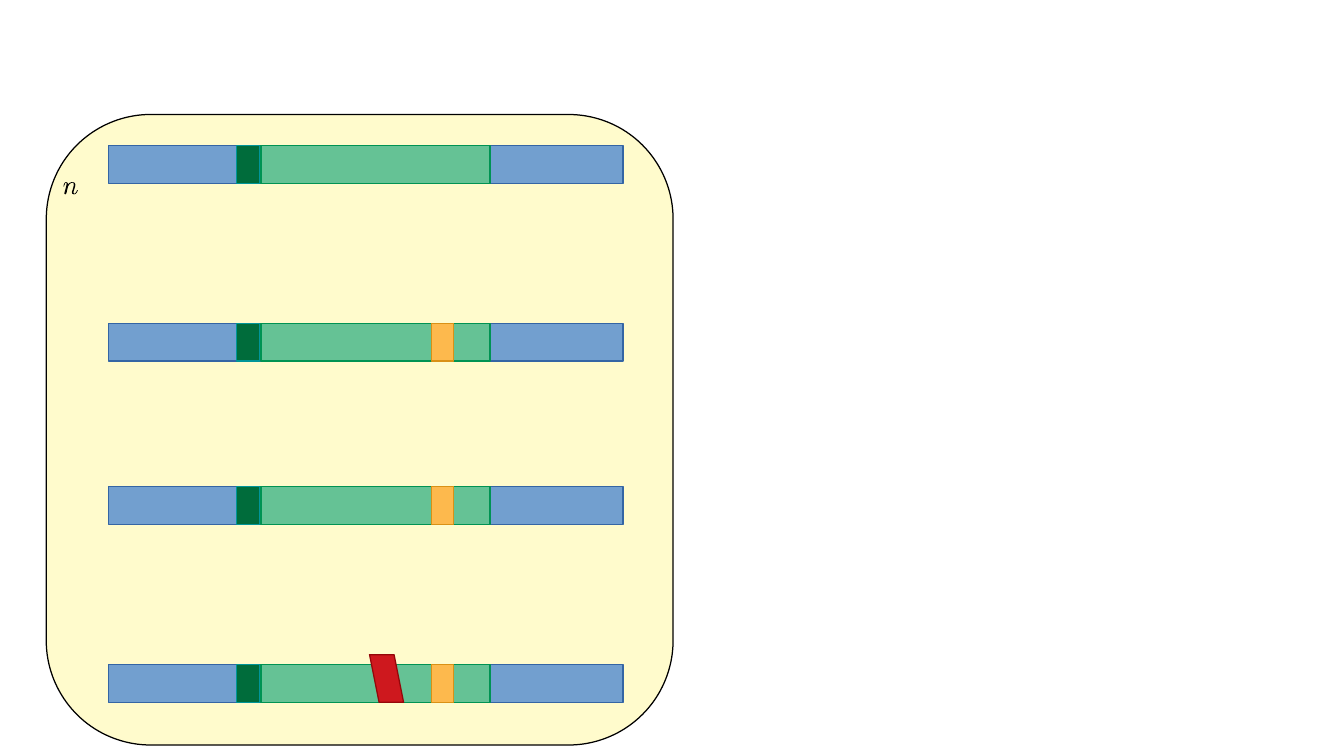
from pptx import Presentation
from pptx.dml.color import RGBColor
from pptx.enum.shapes import MSO_SHAPE
from pptx.util import Inches, Pt

CREAM = RGBColor(0xFF, 0xFB, 0xCC)
BLACK = RGBColor(0x00, 0x00, 0x00)
BLUE = RGBColor(0x72, 0x9F, 0xCF)
BLUE_EDGE = RGBColor(0x34, 0x65, 0xA4)
DARK_GREEN = RGBColor(0x00, 0x6C, 0x3B)
TEAL_EDGE = RGBColor(0x00, 0x95, 0x98)
GREEN = RGBColor(0x65, 0xC2, 0x95)
GREEN_EDGE = RGBColor(0x00, 0x93, 0x53)
ORANGE = RGBColor(0xFD, 0xB9, 0x4D)
ORANGE_EDGE = RGBColor(0xD9, 0x91, 0x16)
RED = RGBColor(0xCE, 0x18, 0x1E)
RED_EDGE = RGBColor(0x94, 0x07, 0x0A)

COLUMNS = 58
ROWS = 20
STRAND_ROWS = (3.85, 8.55, 12.87, 17.58)
SYMBOL_UNITS_PER_COLUMN = 190
SYMBOL_OUTLINE = (
    (0, 35), (4, 18), (11, 4), (22, 0), (33, 4), (39, 18), (50, 7), (63, 1),
    (76, 0), (91, 5), (98, 20), (95, 40), (84, 74), (82, 86), (87, 95),
    (96, 92), (105, 82), (112, 66), (118, 65), (117, 70), (109, 87),
    (98, 98), (86, 100), (73, 95), (69, 83), (73, 70), (81, 45), (85, 24),
    (83, 9), (75, 4), (60, 8), (48, 19), (39, 33), (35, 48), (25, 90),
    (21, 97), (15, 100), (9, 97), (8, 90), (23, 33), (26, 17), (25, 7),
    (21, 4), (15, 8), (10, 20), (5, 36),
)


class Diagram:
    line_width = Pt(0)

    def __init__(self, presentation):
        self.slide = presentation.slides.add_slide(presentation.slide_layouts[6])
        self.column = presentation.slide_width / COLUMNS
        self.row = presentation.slide_height / ROWS

    def box(self, column, row, columns, rows):
        return (round(column * self.column), round(row * self.row),
                round(columns * self.column), round(rows * self.row))

    def paint(self, shape, fill):
        shape.shadow.inherit = False
        shape.fill.solid()
        shape.fill.fore_color.rgb = fill

    def block(self, place, fill, edge, kind=MSO_SHAPE.RECTANGLE, group=None):
        parent = group or self.slide
        shape = parent.shapes.add_shape(kind, *self.box(*place))
        self.paint(shape, fill)
        shape.line.color.rgb = edge
        shape.line.width = self.line_width
        return shape

    def slanted_block(self, place, fill, edge, slant, group):
        shape = self.block(place, fill, edge, MSO_SHAPE.PARALLELOGRAM, group)
        shape.adjustments[0] = slant
        shape.element.spPr.xfrm.set("flipH", "1")

    def strand(self, row, has_insert, has_break):
        group = self.slide.shapes.add_group_shape()
        self.block((4.68, row, 22.21, 1), BLUE, BLUE_EDGE, group=group)
        self.block((10.21, row, 1, 1), DARK_GREEN, TEAL_EDGE, group=group)
        self.block((11.26, row, 9.89, 1), GREEN, GREEN_EDGE, group=group)
        if has_insert:
            self.slanted_block((18.63, row, 0.95, 1), ORANGE, ORANGE_EDGE, 0, group)
        if has_break:
            self.slanted_block((15.95, row - 0.26, 1.47, 1.26), RED, RED_EDGE, 0.28, group)

    def symbol(self, outline, column, row, fill):
        group = self.slide.shapes.add_group_shape()
        scale = self.column / SYMBOL_UNITS_PER_COLUMN
        builder = group.shapes.build_freeform(*outline[0], scale=scale)
        builder.add_line_segments(outline[1:], close=True)
        left, top, _, _ = self.box(column, row, 0, 0)
        shape = builder.convert_to_shape(left, top)
        self.paint(shape, fill)
        shape.line.fill.background()


def main():
    presentation = Presentation()
    presentation.slide_width = Inches(11.02)
    presentation.slide_height = Inches(6.2)
    diagram = Diagram(presentation)
    diagram.block((2, 3.03, 27.05, 16.68), CREAM, BLACK, MSO_SHAPE.ROUNDED_RECTANGLE)
    for index, row in enumerate(STRAND_ROWS):
        diagram.strand(row, has_insert=index > 0, has_break=row == STRAND_ROWS[-1])
    diagram.symbol(SYMBOL_OUTLINE, 2.74, 4.82, BLACK)
    presentation.save("out.pptx")


if __name__ == "__main__":
    main()
